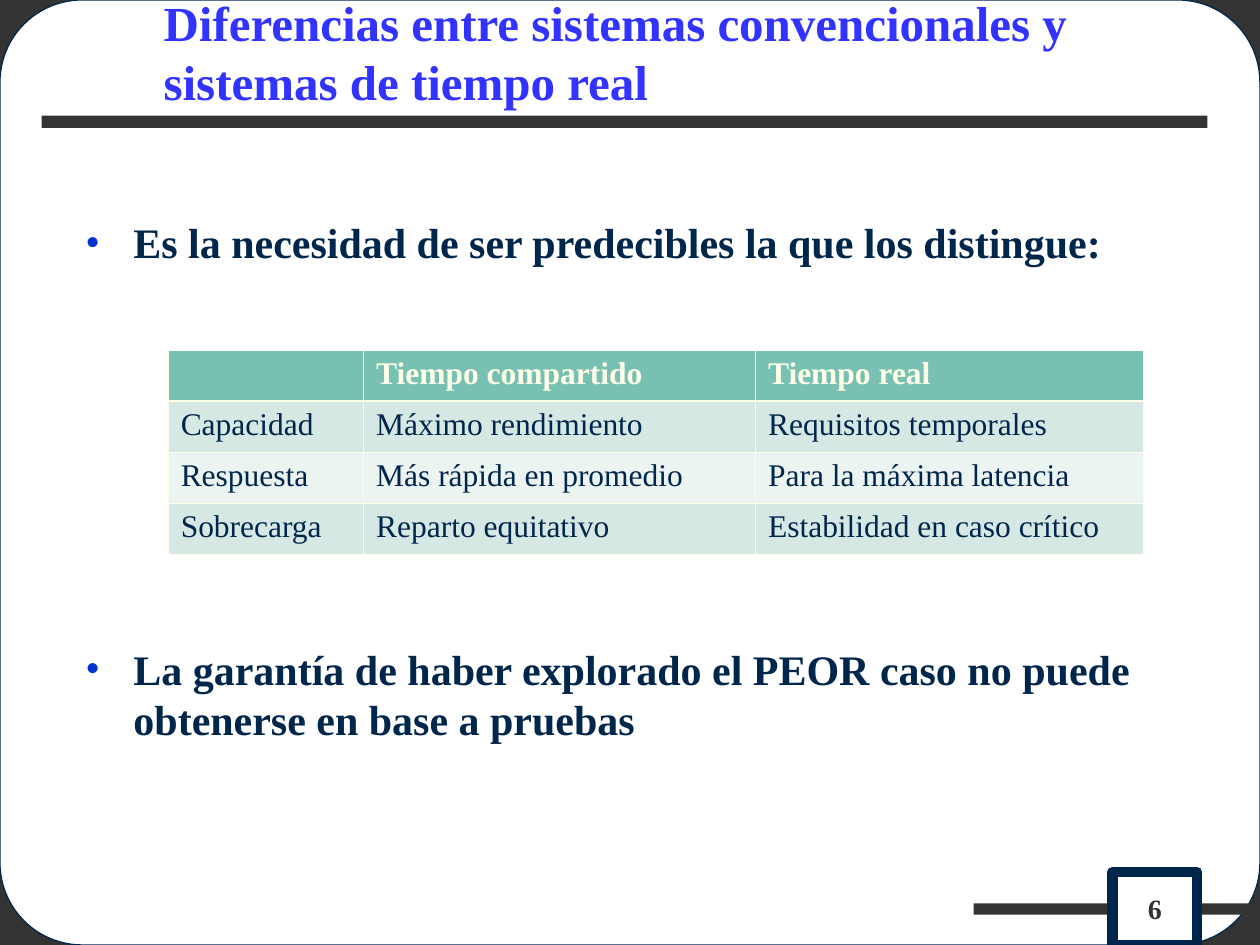
"""Build the slide comparing conventional and real-time systems."""
from lxml import etree
from pptx import Presentation
from pptx.dml.color import RGBColor
from pptx.enum.shapes import MSO_SHAPE
from pptx.enum.text import MSO_ANCHOR, PP_ALIGN
from pptx.oxml.ns import qn
from pptx.util import Cm, Pt

RECTANGLE, ROUNDED = MSO_SHAPE.RECTANGLE, MSO_SHAPE.ROUNDED_RECTANGLE
BOTTOM, MIDDLE = MSO_ANCHOR.BOTTOM, MSO_ANCHOR.MIDDLE
CENTER = PP_ALIGN.CENTER

FONT = "Times New Roman"
DARK, NAVY, WHITE, CREAM = "333333", "00264C", "FFFFFF", "FFFFE9"
TITLE_BLUE, BULLET_BLUE = "3333FF", "0033CC"
HEADER_FILL, BAND_FILLS = "78C0B2", ("D6E8E4", "ECF4F2")

TITLE = "Diferencias entre sistemas convencionales y sistemas de tiempo real"
BULLETS = [
    ("Es la necesidad de ser predecibles la que los distingue:", 0),
    ("La garantía de haber explorado el PEOR caso no puede obtenerse en base a pruebas", 215),
]
ROWS = [
    ("", "Tiempo compartido", "Tiempo real"),
    ("Capacidad", "Máximo rendimiento", "Requisitos temporales"),
    ("Respuesta", "Más rápida en promedio", "Para la máxima latencia"),
    ("Sobrecarga", "Reparto equitativo", "Estabilidad en caso crítico"),
]
COLUMN_WIDTHS = (3.94, 7.9, 7.82)
ROW_HEIGHT = 1.03
PAGE_NUMBER = "6"


def color(value):
    return RGBColor.from_string(value)


def lengths(box):
    return [Cm(value) for value in box]


def add_box(slide, kind, box, fill, line=None, width=0):
    shape = slide.shapes.add_shape(kind, *lengths(box))
    shape.shadow.inherit = False
    shape.fill.solid()
    shape.fill.fore_color.rgb = color(fill)
    if line:
        shape.line.color.rgb = color(line)
        shape.line.width = Pt(width)
    else:
        shape.line.fill.background()
    return shape


def add_text(paragraph, text, size, text_color, bold=True):
    run = paragraph.add_run()
    run.text = text
    run.font.name = FONT
    run.font.size = Pt(size)
    run.font.bold = bold
    run.font.color.rgb = color(text_color)


def add_text_frame(slide, box):
    frame = slide.shapes.add_textbox(*lengths(box)).text_frame
    frame.word_wrap = True
    return frame


def set_bullet(paragraph):
    properties = paragraph._p.get_or_add_pPr()
    properties.set("marL", str(Cm(0.97)))
    properties.set("indent", str(Cm(-0.97)))
    bullet_color = etree.SubElement(properties, qn("a:buClr"))
    etree.SubElement(bullet_color, qn("a:srgbClr"), val=BULLET_BLUE)
    etree.SubElement(properties, qn("a:buFont"), typeface=FONT)
    etree.SubElement(properties, qn("a:buChar"), char="•")


def set_borders(cell, top, bottom):
    properties = cell._tc.get_or_add_tcPr()
    sides = (("lnL", 0.45), ("lnR", 0.45), ("lnT", top), ("lnB", bottom))
    for side, width in sides:
        line = etree.SubElement(properties, qn(f"a:{side}"), w=str(Pt(width)))
        fill = etree.SubElement(line, qn("a:solidFill"))
        etree.SubElement(fill, qn("a:srgbClr"), val=CREAM)


def add_comparison(slide):
    box = (3.39, 7.06, sum(COLUMN_WIDTHS), ROW_HEIGHT * len(ROWS))
    table = slide.shapes.add_table(len(ROWS), len(COLUMN_WIDTHS), *lengths(box)).table
    for column, width in zip(table.columns, COLUMN_WIDTHS):
        column.width = Cm(width)
    for index, texts in enumerate(ROWS):
        table.rows[index].height = Cm(ROW_HEIGHT)
        header = index == 0
        for position, text in enumerate(texts):
            cell = table.cell(index, position)
            set_borders(cell, 1.47 if index == 1 else 0.45, 1.47 if header else 0.45)
            cell.fill.solid()
            cell.fill.fore_color.rgb = color(HEADER_FILL if header else BAND_FILLS[(index - 1) % 2])
            if text:
                add_text(cell.text_frame.paragraphs[0], text, 18, CREAM if header else NAVY, header)


def main():
    presentation = Presentation()
    presentation.slide_width, presentation.slide_height = Cm(25.4), Cm(19.05)
    slide = presentation.slides.add_slide(presentation.slide_layouts[6])
    slide.background.fill.solid()
    slide.background.fill.fore_color.rgb = color(DARK)

    panel = add_box(slide, ROUNDED, (0, 0, 25.4, 19.05), WHITE, NAVY, 0.75)
    panel.adjustments[0] = 0.087
    add_box(slide, RECTANGLE, (19.63, 18.21, 5.77, 0.23), DARK)
    add_box(slide, RECTANGLE, (0.84, 2.33, 23.5, 0.25), DARK)

    title = add_text_frame(slide, (3.05, 0.79, 21.59, 1.55))
    title.vertical_anchor = BOTTOM
    add_text(title.paragraphs[0], TITLE, 28, TITLE_BLUE)

    body = add_text_frame(slide, (1.47, 2.97, 22.66, 13.97))
    body.margin_top = Cm(1.4)
    for index, (text, space_before) in enumerate(BULLETS):
        paragraph = body.add_paragraph() if index else body.paragraphs[0]
        paragraph.space_before = Pt(space_before)
        set_bullet(paragraph)
        add_text(paragraph, text, 24, NAVY)

    number_box = add_box(slide, RECTANGLE, (22.43, 17.58, 1.7, 1.47), WHITE, NAVY, 6)
    number_box.text_frame.vertical_anchor = MIDDLE
    paragraph = number_box.text_frame.paragraphs[0]
    paragraph.alignment = CENTER
    add_text(paragraph, PAGE_NUMBER, 16, DARK)

    add_comparison(slide)
    presentation.save("out.pptx")


if __name__ == "__main__":
    main()
